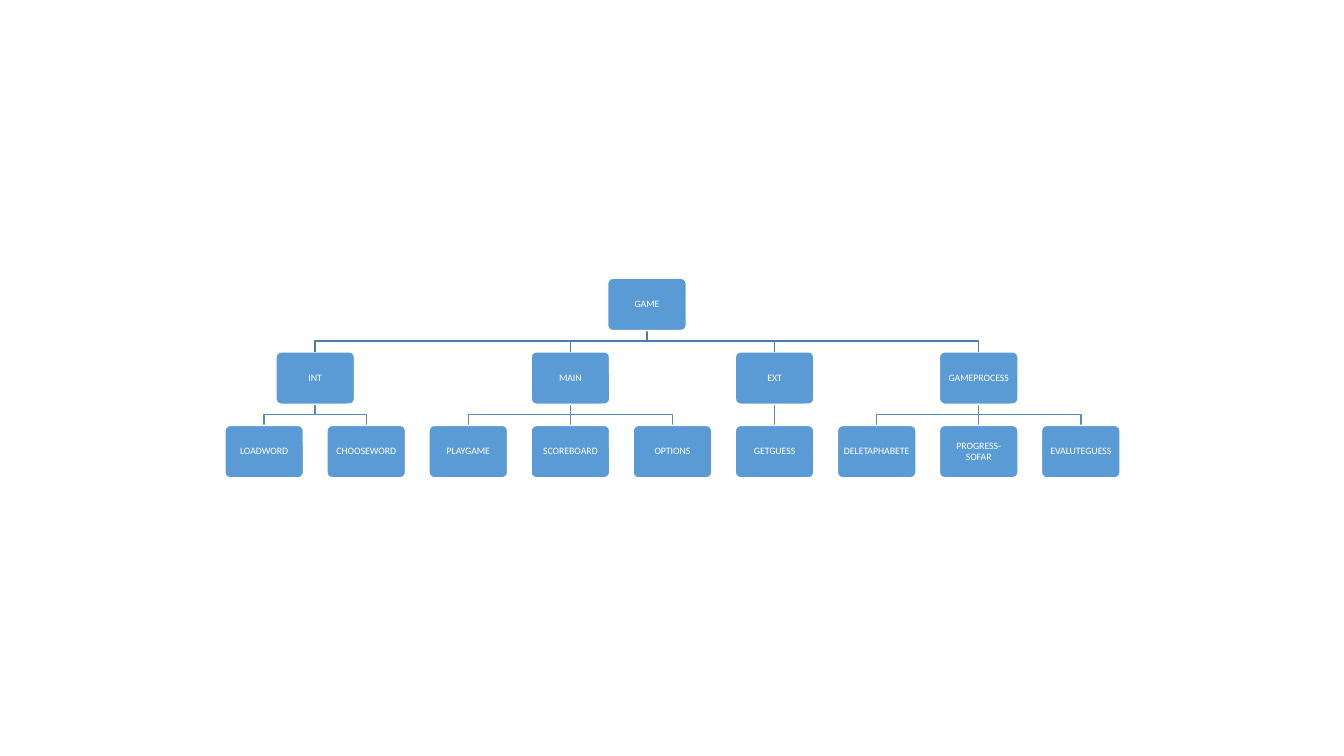
from dataclasses import dataclass

from lxml import etree
from pptx import Presentation
from pptx.dml.color import RGBColor
from pptx.enum.shapes import MSO_CONNECTOR, MSO_SHAPE
from pptx.enum.text import MSO_ANCHOR, PP_ALIGN
from pptx.oxml.ns import qn
from pptx.util import Inches, Pt

STRAIGHT = MSO_CONNECTOR.STRAIGHT
ROUNDED = MSO_SHAPE.ROUNDED_RECTANGLE
MIDDLE = MSO_ANCHOR.MIDDLE
CENTER = PP_ALIGN.CENTER


@dataclass(frozen=True)
class Theme:
    """Colours and type of the slide."""
    box: RGBColor = RGBColor(0x5B, 0x9B, 0xD5)
    white: RGBColor = RGBColor(0xFF, 0xFF, 0xFF)
    links: tuple = (RGBColor(0x49, 0x7C, 0xAB), RGBColor(0x53, 0x8D, 0xC1))
    font: str = "Calibri"
    size: Pt = Pt(7)
    line: Pt = Pt(1)


@dataclass(frozen=True)
class Grid:
    """Centre of the first leaf, top of the tree, pitches and box size."""
    left: int = Inches(2.62)
    top: int = Inches(2.76)
    col: int = Inches(1.0125)
    row: int = Inches(0.73)
    width: int = Inches(0.78)
    height: int = Inches(0.52)
    inset: int = Inches(0.04)

    def x(self, col):
        """Return the centre of a column."""
        return round(self.left + col * self.col)

    def y(self, row):
        """Return the top of a row of boxes."""
        return self.top + row * self.row


THEME = Theme()
GRID = Grid()
MODULES = {
    "INT": ["LOADWORD", "CHOOSEWORD"],
    "MAIN": ["PLAYGAME", "SCOREBOARD", "OPTIONS"],
    "EXT": ["GETGUESS"],
    "GAMEPROCESS": ["DELETAPHABETE", "PROGRESS-SOFAR", "EVALUTEGUESS"],
}


def add_box(s, text, col, row):
    """Add a labelled rounded box centred on a grid column."""
    sp = s.shapes.add_shape(ROUNDED, GRID.x(col) - GRID.width // 2,
                            GRID.y(row), GRID.width, GRID.height)
    sp.adjustments[0] = 0.1
    sp.shadow.inherit = False
    sp.fill.solid()
    sp.fill.fore_color.rgb = THEME.box
    sp.line.color.rgb = THEME.white
    sp.line.width = THEME.line
    tf = sp.text_frame
    tf.word_wrap = True
    tf.vertical_anchor = MIDDLE
    tf.margin_left = tf.margin_right = GRID.inset
    tf.margin_top = tf.margin_bottom = GRID.inset
    p = tf.paragraphs[0]
    p.alignment = CENTER
    p.line_spacing = 0.9
    r = p.add_run()
    r.text = text
    r.font.name = THEME.font
    r.font.size = THEME.size
    r.font.color.rgb = THEME.white


def add_link(s, parent, child, row):
    """Join a box to one below it, straight or through a shared bar."""
    x1, x2 = GRID.x(parent), GRID.x(child)
    y1, y2 = GRID.y(row) + GRID.height, GRID.y(row + 1)
    if parent == child:
        link = s.shapes.add_connector(STRAIGHT, x1, y1, x2, y2)
        etree.SubElement(link._element.spPr, qn("a:effectLst"))
    else:
        bar = (y1 + y2) // 2
        outline = s.shapes.build_freeform(x1, y1)
        outline.add_line_segments([(x1, bar), (x2, bar), (x2, y2)], close=False)
        link = outline.convert_to_shape()
        link.shadow.inherit = False
        link.fill.background()
    link.line.color.rgb = THEME.links[row]
    link.line.width = THEME.line


def add_branch(s, text, cols, row):
    """Add a box centred over its children, with links to them."""
    col = (cols[0] + cols[-1]) / 2
    for child in cols:
        add_link(s, col, child, row)
    add_box(s, text, col, row)
    return col


def main():
    """Build the module tree and save it."""
    prs = Presentation()
    prs.slide_width, prs.slide_height = Inches(13.33), Inches(7.5)
    s = prs.slides.add_slide(prs.slide_layouts[6])
    module_cols = []
    first = 0
    for module, functions in MODULES.items():
        cols = range(first, first + len(functions))
        module_cols.append(add_branch(s, module, cols, 1))
        for col, name in zip(cols, functions):
            add_box(s, name, col, 2)
        first += len(functions)
    add_branch(s, "GAME", module_cols, 0)
    prs.save("out.pptx")


main()
